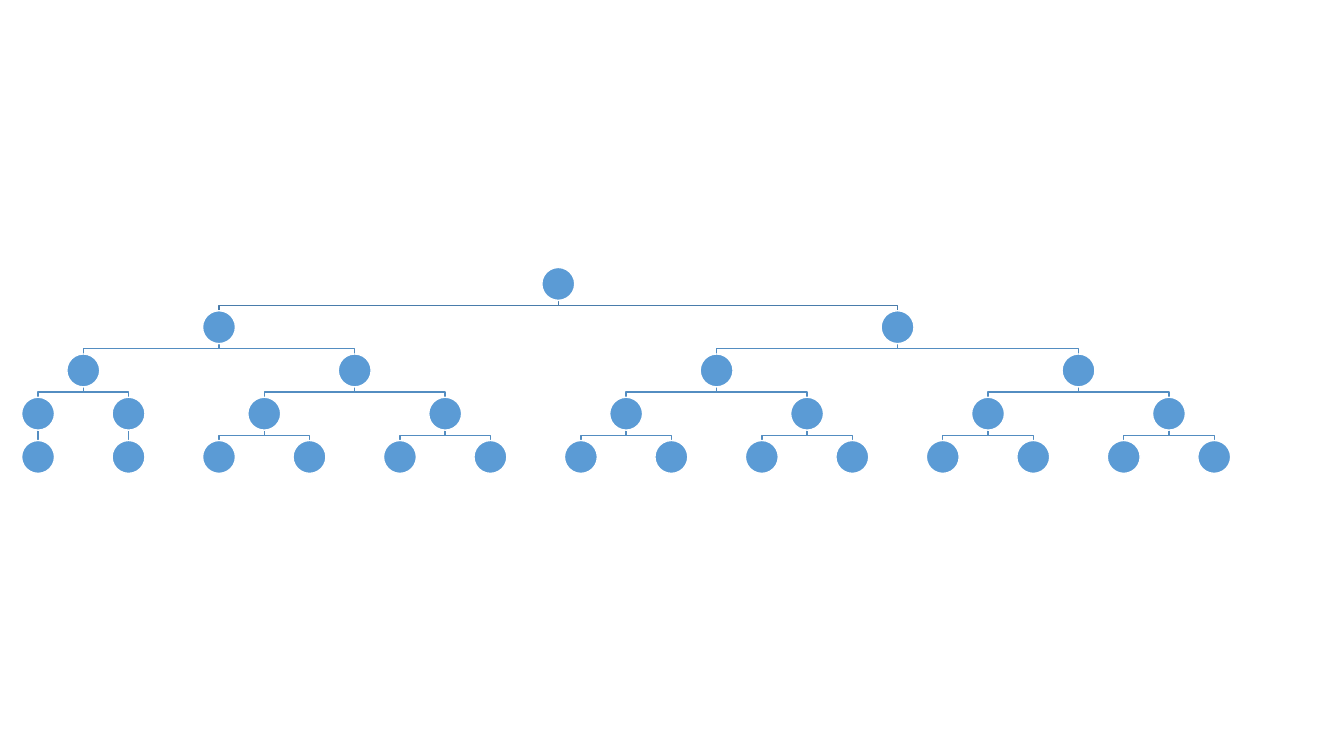
from dataclasses import dataclass
from itertools import count

from lxml import etree
from pptx import Presentation
from pptx.dml.color import RGBColor
from pptx.enum.shapes import MSO_CONNECTOR, MSO_SHAPE
from pptx.oxml.ns import qn
from pptx.util import Cm, Pt

ELLIPSE = MSO_SHAPE.OVAL
STRAIGHT = MSO_CONNECTOR.STRAIGHT

NODE_BLUE = RGBColor(0x5B, 0x9B, 0xD5)
NODE_EDGE = RGBColor(0xFF, 0xFF, 0xFF)
ROOT_LINK = RGBColor(0x49, 0x7C, 0xAB)
BRANCH_LINK = RGBColor(0x53, 0x8D, 0xC1)

DIAMETER = Cm(0.83)
LEVEL_PITCH = Cm(1.09)
LEAF_PITCH = Cm(2.28)
FIRST_LEAF = Cm(0.96)
ROOT_TOP = Cm(6.74)
LINE_WIDTH = Pt(1)

LEAF = ()
CHAIN = (LEAF,)
FORK = (LEAF, LEAF)
WIDE_FORK = (FORK, FORK)
TREE = (((CHAIN, CHAIN), WIDE_FORK), (WIDE_FORK, WIDE_FORK))


@dataclass
class Node:
    center: int
    level: int
    children: list

    @property
    def top(self):
        return ROOT_TOP + self.level * LEVEL_PITCH

    @property
    def bottom(self):
        return self.top + DIAMETER


def lay_out(tree, leaf_numbers, level=0):
    children = [lay_out(branch, leaf_numbers, level + 1) for branch in tree]
    if children:
        center = sum(child.center for child in children) // len(children)
    else:
        center = FIRST_LEAF + next(leaf_numbers) * LEAF_PITCH
    return Node(center, level, children)


def walk(node):
    yield node
    for child in node.children:
        yield from walk(child)


def add_straight_link(slide, parent, child):
    link = slide.shapes.add_connector(
        STRAIGHT, parent.center, parent.bottom, child.center, child.top)
    etree.SubElement(link._element.spPr, qn("a:effectLst"))
    return link


def add_elbow_link(slide, parent, child):
    middle = (parent.bottom + child.top) // 2
    outline = slide.shapes.build_freeform(parent.center, parent.bottom)
    outline.add_line_segments(
        [(parent.center, middle), (child.center, middle),
         (child.center, child.top)], close=False)
    link = outline.convert_to_shape()
    link.fill.background()
    link.shadow.inherit = False
    return link


def add_link(slide, parent, child):
    add = add_straight_link if parent.center == child.center else add_elbow_link
    link = add(slide, parent, child)
    link.line.color.rgb = BRANCH_LINK if parent.level else ROOT_LINK
    link.line.width = LINE_WIDTH


def add_node(slide, node):
    circle = slide.shapes.add_shape(
        ELLIPSE, node.center - DIAMETER // 2, node.top, DIAMETER, DIAMETER)
    circle.shadow.inherit = False
    circle.fill.solid()
    circle.fill.fore_color.rgb = NODE_BLUE
    circle.line.color.rgb = NODE_EDGE
    circle.line.width = LINE_WIDTH


def main():
    presentation = Presentation()
    presentation.slide_width = Cm(33.87)
    presentation.slide_height = Cm(19.05)
    slide = presentation.slides.add_slide(presentation.slide_layouts[6])

    nodes = list(walk(lay_out(TREE, count())))
    for parent in nodes:
        for child in parent.children:
            add_link(slide, parent, child)
    for node in nodes:
        add_node(slide, node)

    presentation.save("out.pptx")


if __name__ == "__main__":
    main()
